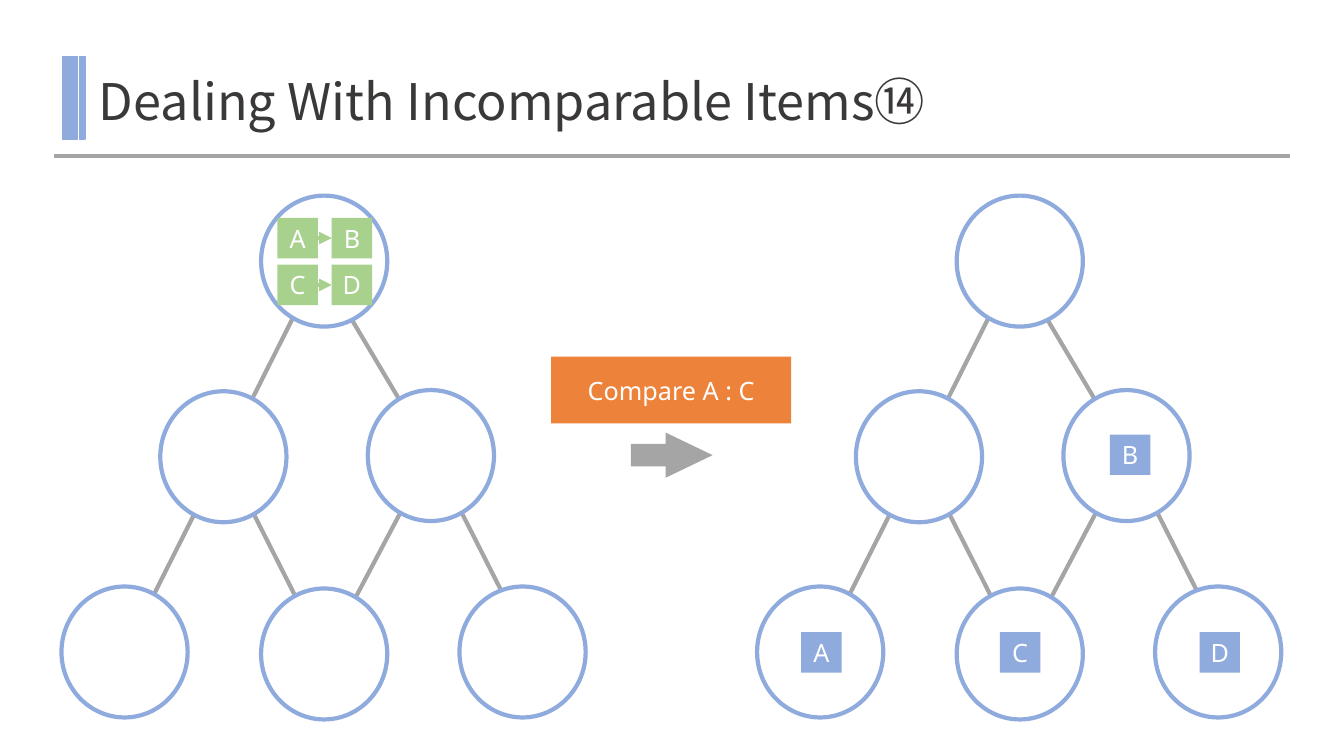
from lxml import etree
from pptx import Presentation
from pptx.enum import shapes, text
from pptx.dml.color import RGBColor
from pptx.oxml import ns
from pptx.util import Cm, Pt

COLORS = {"blue": "8FAADC", "gray": "A5A5A5", "green": "A9D18E",
          "orange": "ED833B", "white": "FFFFFF", "title": "3B3838"}
BODY_FONT = "Noto Sans"
TITLE_FONT = "Noto Sans CJK JP"
RECT = shapes.MSO_SHAPE.RECTANGLE
OVAL = shapes.MSO_SHAPE.OVAL
RIGHT_ARROW = shapes.MSO_SHAPE.RIGHT_ARROW

TREE_SHIFT = 17.53
NODE_WIDTH, NODE_HEIGHT = 3.18, 3.3
NODES = [(6.58, 4.93), (9.27, 9.83), (4.04, 9.86),
         (1.55, 14.78), (11.58, 14.78), (6.58, 14.83)]
EDGES = [(7.9, 6.43, 10.92, 11.51), (5.64, 11.46, 8.18, 16.48),
         (10.85, 11.48, 8.15, 16.59), (10.92, 11.51, 13.34, 16.28),
         (8.1, 6.58, 3.15, 16.43)]
ITEM_SIZE = 1.02
PLACED_ITEMS = [("A", 20.19, 15.93), ("D", 30.23, 15.93),
                ("B", 27.97, 10.95), ("C", 25.2, 15.93)]
PAIRS = [("A", "B", 5.49), ("C", "D", 6.67)]


def rgb(name):
    return RGBColor.from_string(COLORS[name])


def add_figure(parent, kind, left, top, width, height, fill, outline=None, weight=3):
    figure = parent.add_shape(kind, Cm(left), Cm(top), Cm(width), Cm(height))
    figure.shadow.inherit = False
    figure.fill.solid()
    figure.fill.fore_color.rgb = rgb(fill)
    if outline:
        figure.line.color.rgb = rgb(outline)
        figure.line.width = Pt(weight)
    else:
        figure.line.fill.background()
    return figure


def add_line(parent, x1, y1, x2, y2, color="gray"):
    line = parent.add_connector(shapes.MSO_CONNECTOR.STRAIGHT,
                                Cm(x1), Cm(y1), Cm(x2), Cm(y2))
    line.line.color.rgb = rgb(color)
    line.line.width = Pt(3)
    etree.SubElement(line._element.spPr, ns.qn("a:effectLst"))
    return line


def add_label_box(parent, label, left, top, width, height, fill):
    box = add_figure(parent, RECT, left, top, width, height, fill)
    frame = box.text_frame
    frame.margin_left = frame.margin_right = 0
    frame.margin_top = frame.margin_bottom = 0
    frame.vertical_anchor = text.MSO_ANCHOR.MIDDLE
    frame.text = label
    para = frame.paragraphs[0]
    para.alignment = text.PP_ALIGN.CENTER
    span = para.runs[0]
    span.font.size = Pt(18)
    span.font.name = BODY_FONT
    span.font.color.rgb = rgb("white")
    return box


def add_item(parent, label, left, top, fill):
    return add_label_box(parent, label, left, top, ITEM_SIZE, ITEM_SIZE, fill)


def add_tree(page, shift):
    group = page.shapes.add_group_shape().shapes
    for x1, y1, x2, y2 in EDGES:
        add_line(group, x1 + shift, y1, x2 + shift, y2)
    for left, top in NODES:
        add_figure(group, OVAL, left + shift, top, NODE_WIDTH, NODE_HEIGHT,
                   "white", "blue")


def add_pair(page, first, second, top):
    """Draw two items joined by an arrow from the first to the second."""
    start = add_item(page.shapes, first, 6.99, top, "green")
    end = add_item(page.shapes, second, 8.36, top, "green")
    middle = top + ITEM_SIZE / 2
    arrow = add_line(page.shapes, 6.99 + ITEM_SIZE, middle, 8.36, middle, "green")
    arrow.begin_connect(start, 3)
    arrow.end_connect(end, 1)
    etree.SubElement(arrow.line._get_or_add_ln(), ns.qn("a:tailEnd"), type="triangle")


def add_heading(page, wording):
    for left, width in [(1.57, 0.38), (2.01, 0.13)]:
        add_figure(page.shapes, RECT, left, 1.42, width, 2.08, "blue", "blue", 1)
    add_line(page.shapes, 1.35, 3.94, 32.51, 3.94)
    title = page.shapes.title
    title.left, title.top = Cm(2.24), Cm(1.75)
    title.width, title.height = Cm(30.07), Cm(1.68)
    frame = title.text_frame
    frame.text = wording
    frame.auto_size = text.MSO_AUTO_SIZE.NONE
    frame.vertical_anchor = text.MSO_ANCHOR.BOTTOM
    para = frame.paragraphs[0]
    para.alignment = text.PP_ALIGN.LEFT
    para.line_spacing = 0.9
    span = para.runs[0]
    span.font.size = Pt(36)
    span.font.name = TITLE_FONT
    span.font.color.rgb = rgb("title")
    etree.SubElement(span.font._element, ns.qn("a:ea"), typeface=TITLE_FONT)


def main():
    deck = Presentation()
    deck.slide_width, deck.slide_height = Cm(33.87), Cm(19.05)
    page = deck.slides.add_slide(deck.slide_layouts[5])
    add_heading(page, "Dealing With Incomparable Items⑭")
    add_tree(page, 0)
    add_label_box(page.shapes, "Compare A : C", 13.89, 8.99, 6.05, 1.68, "orange")
    add_tree(page, TREE_SHIFT)
    step = add_figure(page.shapes, RIGHT_ARROW, 15.9, 10.9, 2.06, 1.14, "gray")
    step.adjustments[1] = 1.04
    for first, second, top in PAIRS:
        add_pair(page, first, second, top)
    for label, left, top in PLACED_ITEMS:
        add_item(page.shapes, label, left, top, "blue")
    deck.save("out.pptx")


if __name__ == "__main__":
    main()
